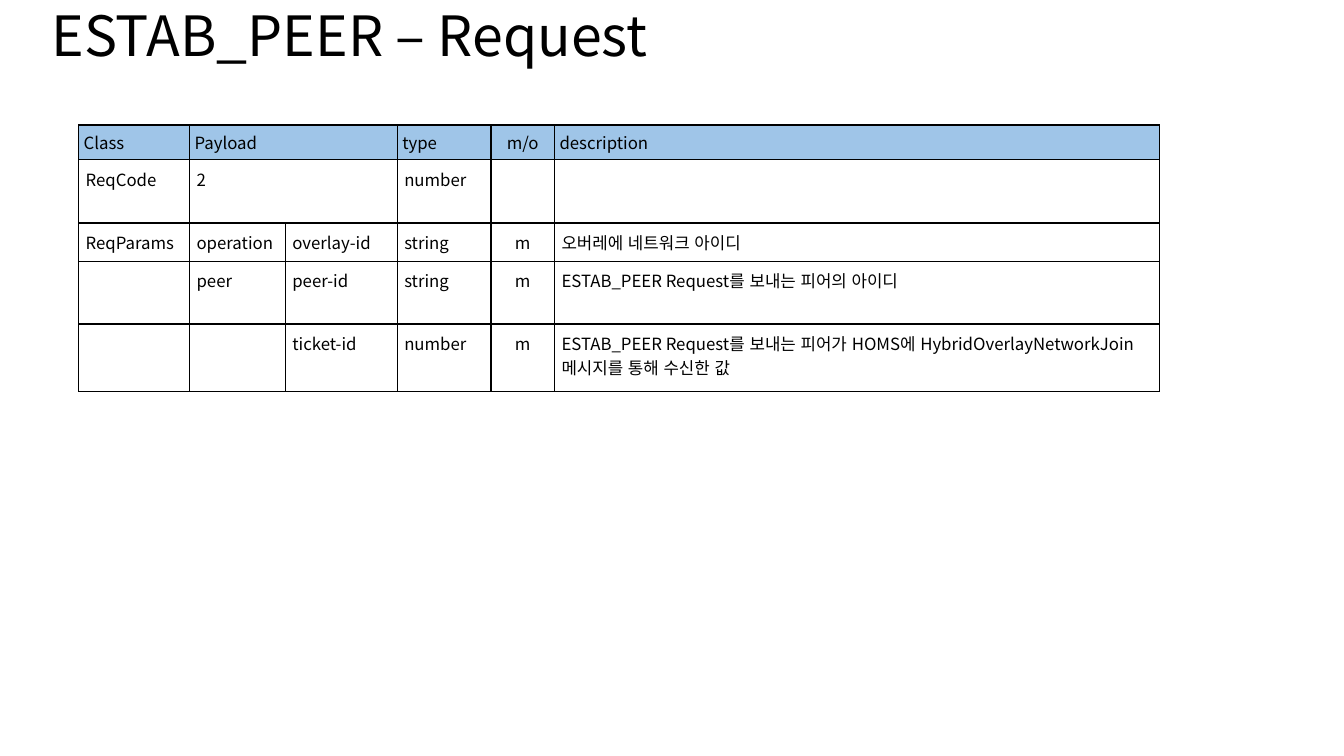
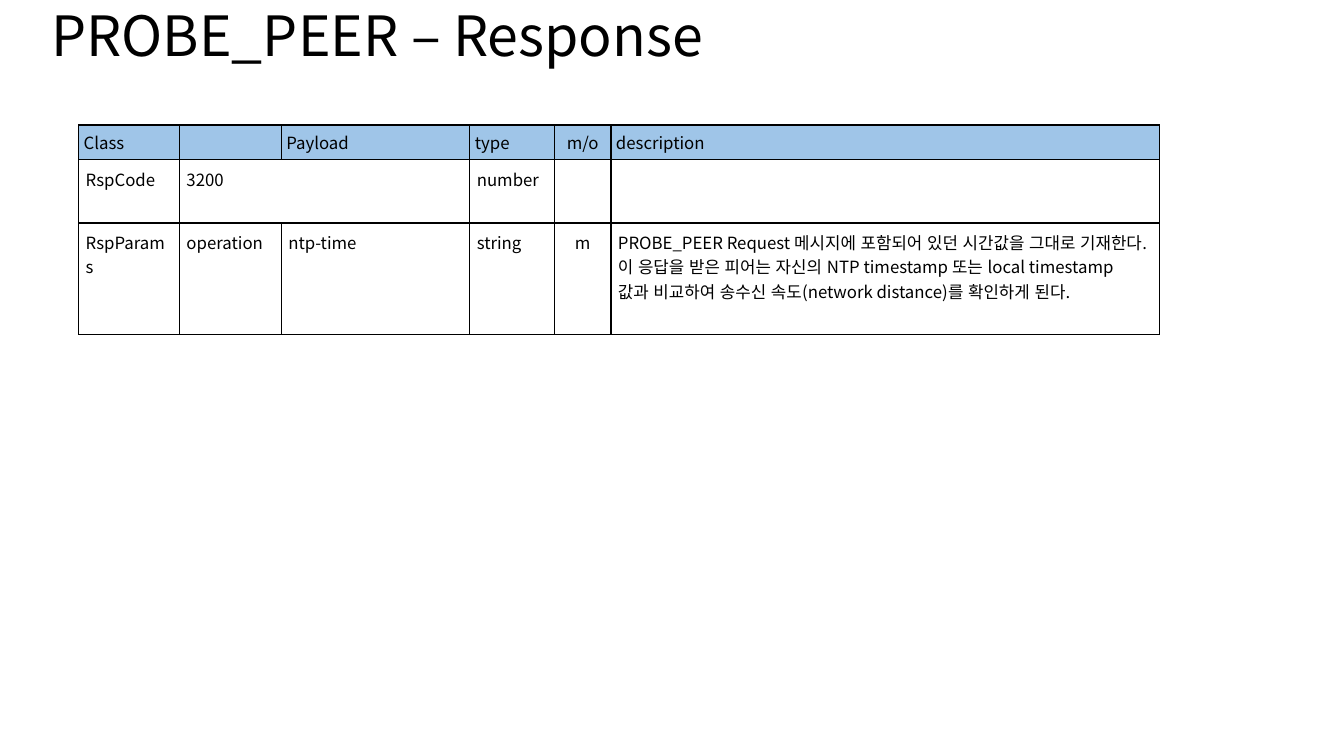
from lxml import etree
from pptx import Presentation
from pptx.dml.color import RGBColor
from pptx.enum.lang import MSO_LANGUAGE_ID
from pptx.enum.text import MSO_ANCHOR, MSO_AUTO_SIZE, PP_ALIGN
from pptx.oxml.ns import qn
from pptx.util import Inches, Pt

LEFT, CENTER = PP_ALIGN.LEFT, PP_ALIGN.CENTER
MIDDLE, NO_AUTOFIT = MSO_ANCHOR.MIDDLE, MSO_AUTO_SIZE.NONE
KOREAN = MSO_LANGUAGE_ID.KOREAN
TITLE_ONLY = 5

COLORS = {"text": "000000", "border": "000000", "header": "9FC5E8"}
FONT = "Noto Sans CJK KR"
TITLE_SIZE, CELL_SIZE = 39.6, 12
TITLE_BOX = (0.41, 0.02, 12.47, 0.72)
TABLE_ORIGIN = (0.78, 1.24)
HEADER_INSET, BODY_INSET, DESCRIPTION_INSET = 0.05, 0.07, 0.12
MANDATORY_COLUMN, DESCRIPTION_COLUMN = 4, 5
MERGED = None  # cell joined to the one on its left

MESSAGES = [
    {
        "title": "ESTAB_PEER – Request",
        "columns": [1.1, 0.95, 1.11, 0.93, 0.63, 6],
        "heights": [0.34, 0.63, 0.38, 0.62, 0.67],
        "rows": [
            ["Class", "Payload", MERGED, "type", "m/o", "description"],
            ["ReqCode", "2", MERGED, "number", "", ""],
            ["ReqParams", "operation", "overlay-id", "string", "m",
             "오버레에 네트워크 아이디"],
            ["", "peer", "peer-id", "string", "m",
             "ESTAB_PEER Request를 보내는 피어의 아이디"],
            ["", "", "ticket-id", "number", "m",
             "ESTAB_PEER Request를 보내는 피어가 HOMS에 "
             "HybridOverlayNetworkJoin 메시지를 통해 수신한 값"],
        ],
    },
    {
        "title": "PROBE_PEER – Response",
        "columns": [1, 1.01, 1.87, 0.84, 0.56, 5.44],
        "heights": [0.34, 0.63, 1.1],
        "rows": [
            ["Class", "", "Payload", "type", "m/o", "description"],
            ["RspCode", "3200", MERGED, "number", "", ""],
            ["RspParams", "operation", "ntp-time", "string", "m",
             "PROBE_PEER Request 메시지에 포함되어 있던 시간값을 그대로 기재한다. "
             "이 응답을 받은 피어는 자신의 NTP timestamp 또는 local timestamp 값과 "
             "비교하여 송수신 속도(network distance)를 확인하게 된다."],
        ],
    },
]


def write(frame, text, size, align):
    """Put one formatted paragraph in the frame; empty text keeps its line size."""
    paragraph = frame.paragraphs[0]
    paragraph.alignment = align
    if not text:
        end = etree.SubElement(paragraph._p, qn("a:endParaRPr"))
        end.set("sz", str(round(size * 100)))
        etree.SubElement(end, qn("a:latin")).set("typeface", FONT)
        return paragraph
    run = paragraph.add_run()
    run.text = text
    styles = {"name": FONT, "size": Pt(size), "bold": False,
              "language_id": KOREAN}
    for name, value in styles.items():
        setattr(run.font, name, value)
    run.font.color.rgb = RGBColor.from_string(COLORS["text"])
    properties = run._r.rPr
    properties.set("kern", "0")
    east_asian = etree.Element(qn("a:ea"), typeface=FONT)
    properties.find(qn("a:latin")).addnext(east_asian)
    return paragraph


def add_title(slide, text, box):
    title = slide.shapes.title
    for name, value in zip(("left", "top", "width", "height"), box):
        setattr(title, name, Inches(value))
    frame = title.text_frame
    frame.word_wrap = True
    frame.auto_size = NO_AUTOFIT
    frame.vertical_anchor = MIDDLE
    write(frame, text, TITLE_SIZE, LEFT).line_spacing = 0.9


def add_borders(cell):
    properties = cell._tc.get_or_add_tcPr()
    for side in ("lnL", "lnR", "lnT", "lnB"):
        line = etree.SubElement(properties, qn(f"a:{side}"), w=str(Pt(1)))
        fill = etree.SubElement(line, qn("a:solidFill"))
        etree.SubElement(fill, qn("a:srgbClr"), val=COLORS["border"])


def format_cell(cell, is_header, is_description):
    add_borders(cell)
    inset = Inches(HEADER_INSET if is_header else BODY_INSET)
    for side in ("left", "right", "top", "bottom"):
        setattr(cell, f"margin_{side}", inset)
    if is_description:
        cell.margin_right = Inches(DESCRIPTION_INSET)
    if is_header:
        cell.fill.solid()
        cell.fill.fore_color.rgb = RGBColor.from_string(COLORS["header"])
    else:
        cell.fill.background()


def add_field_table(slide, origin, columns, heights, rows):
    left, top = origin
    table = slide.shapes.add_table(
        len(rows), len(columns), Inches(left), Inches(top),
        Inches(sum(columns)), Inches(sum(heights))).table
    table.first_row = table.horz_banding = False
    for column, width in zip(table.columns, columns):
        column.width = Inches(width)
    for row, height in zip(table.rows, heights):
        row.height = Inches(height)
    for r, fields in enumerate(rows):
        for c, text in enumerate(fields):
            cell = table.cell(r, c)
            format_cell(cell, r == 0, c == DESCRIPTION_COLUMN)
            if text is MERGED:
                table.cell(r, c - 1).merge(cell)
            align = CENTER if c == MANDATORY_COLUMN else LEFT
            write(cell.text_frame, text, CELL_SIZE, align)


def add_message_slide(deck, message):
    slide = deck.slides.add_slide(deck.slide_layouts[TITLE_ONLY])
    add_title(slide, message["title"], TITLE_BOX)
    add_field_table(slide, TABLE_ORIGIN, message["columns"],
                    message["heights"], message["rows"])


def main():
    deck = Presentation()
    deck.slide_width, deck.slide_height = Inches(13.33), Inches(7.5)
    for message in MESSAGES:
        add_message_slide(deck, message)
    deck.save("out.pptx")


if __name__ == "__main__":
    main()
